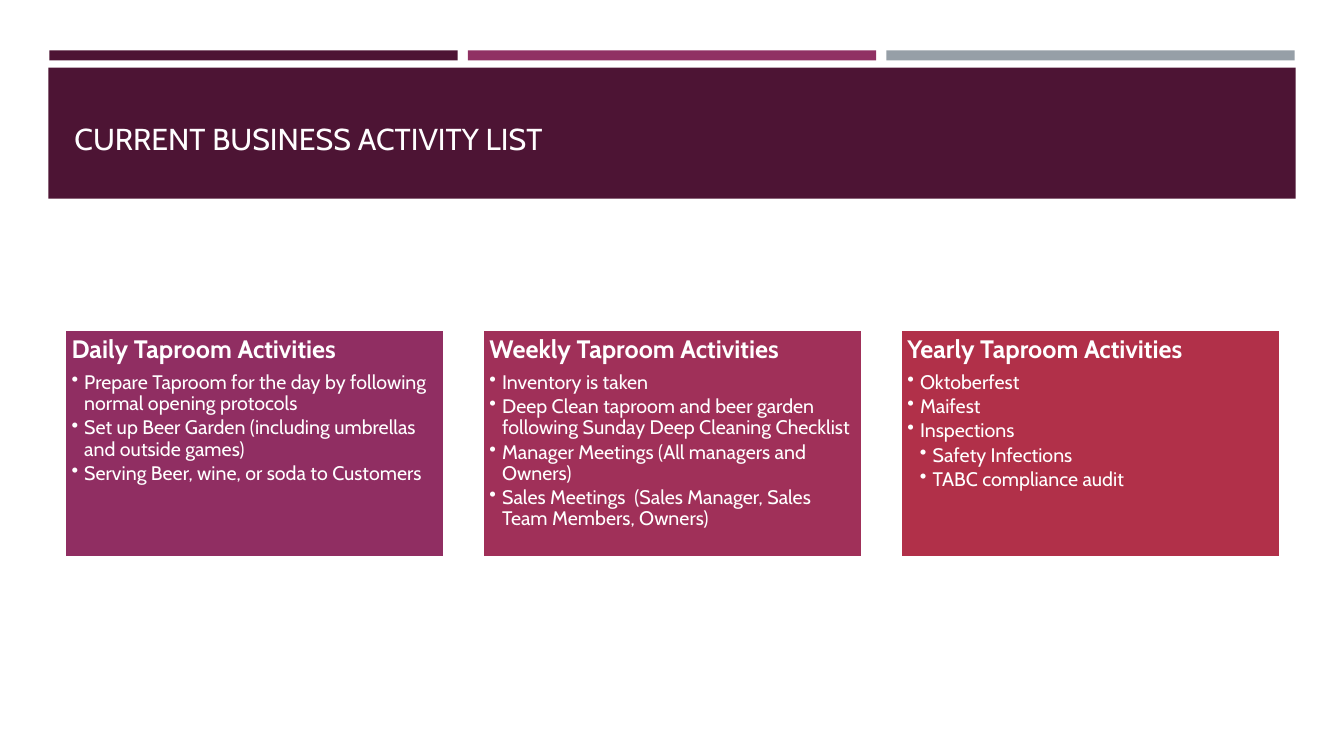
"""Build the slide of current taproom business activities."""
from lxml import etree
from pptx import Presentation
from pptx.dml.color import RGBColor
from pptx.enum.shapes import MSO_SHAPE
from pptx.enum.text import MSO_ANCHOR, PP_ALIGN
from pptx.oxml.ns import qn
from pptx.util import Inches, Pt

RECTANGLE = MSO_SHAPE.RECTANGLE
TOP = MSO_ANCHOR.TOP
LEFT = PP_ALIGN.LEFT

TITLE = "CURRENT BUSINESS ACTIVITY LIST"
CARDS = [
    ("Daily Taproom Activities", "902E62", [
        (1, "Prepare Taproom for the day by following normal opening protocols"),
        (1, "Set up Beer Garden (including umbrellas and outside games)"),
        (1, "Serving Beer, wine, or soda to Customers"),
    ]),
    ("Weekly Taproom Activities", "A03059", [
        (1, "Inventory is taken"),
        (1, "Deep Clean taproom and beer garden following Sunday Deep Cleaning Checklist"),
        (1, "Manager Meetings (All managers and Owners)"),
        (1, "Sales Meetings  (Sales Manager, Sales Team Members, Owners)"),
    ]),
    ("Yearly Taproom Activities", "B13049", [
        (1, "Oktoberfest"),
        (1, "Maifest"),
        (1, "Inspections"),
        (2, "Safety Infections"),
        (2, "TABC compliance audit"),
    ]),
]
THEME = {
    "font": "Cabin",
    "white": "FFFFFF",
    "title_text": "FFFEFF",
    "banner": "4D1434",
    "stripes": ["4D1434", "903163", "969FA7"],
    "title_size": 21.6,
    "heading_size": 18,
    "item_size": 14,
}
STRIPE_LEFT, STRIPE_STEP = 0.49, 4.15
CARD_LEFT, CARD_STEP = 0.64, 4.145
BULLET_INDENT = 0.125


def add_block(page, left, top, width, height, color, outline=None):
    block = page.shapes.add_shape(
        RECTANGLE, Inches(left), Inches(top), Inches(width), Inches(height))
    block.shadow.inherit = False
    block.fill.solid()
    block.fill.fore_color.rgb = RGBColor.from_string(color)
    if outline:
        block.line.color.rgb = RGBColor.from_string(outline)
        block.line.width = Pt(1.75)
    else:
        block.line.fill.background()
    return block


def prepare_frame(box, side, top):
    frame = box.text_frame
    frame.word_wrap = True
    frame.vertical_anchor = TOP
    frame.margin_left = frame.margin_right = Inches(side)
    frame.margin_top = frame.margin_bottom = Inches(top)
    return frame


def write_para(para, text, size, color=THEME["white"], bold=False, level=0, before=0):
    if level:
        para.level = level
        properties = para._p.get_or_add_pPr()
        properties.set("marL", str(Inches(BULLET_INDENT * level)))
        properties.set("indent", str(-Inches(BULLET_INDENT)))
        bullet_color = etree.SubElement(properties, qn("a:buClr"))
        etree.SubElement(bullet_color, qn("a:srgbClr")).set("val", color)
        etree.SubElement(properties, qn("a:buChar")).set("char", "•")
    para.alignment = LEFT
    para.line_spacing = 0.9
    para.space_before = Pt(before)
    span = para.add_run()
    span.text = text
    span.font.name = THEME["font"]
    span.font.size = Pt(size)
    span.font.bold = bold
    span.font.color.rgb = RGBColor.from_string(color)


def add_header(page):
    for index, color in enumerate(THEME["stripes"]):
        add_block(page, STRIPE_LEFT + index * STRIPE_STEP, 0.5, 4.05, 0.1, color)
    add_block(page, 0.48, 0.67, 12.37, 1.3, THEME["banner"])
    box = page.shapes.add_textbox(Inches(0.64), Inches(1.16), Inches(12.06), Inches(1.11))
    frame = prepare_frame(box, 0.1, 0.07)
    write_para(frame.paragraphs[0], TITLE, THEME["title_size"], color=THEME["title_text"])


def add_card(page, index, heading, color, items):
    card = add_block(page, CARD_LEFT + index * CARD_STEP, 3.27, 3.77, 2.26,
                     color, outline=THEME["white"])
    frame = prepare_frame(card, 0.07, 0.07)
    write_para(frame.paragraphs[0], heading, THEME["heading_size"], bold=True)
    for position, (level, text) in enumerate(items):
        write_para(frame.add_paragraph(), text, THEME["item_size"], level=level,
                   before=2.1 if position else 6.3)


def main():
    deck = Presentation()
    deck.slide_width, deck.slide_height = Inches(13.33), Inches(7.5)
    page = deck.slides.add_slide(deck.slide_layouts[6])
    add_header(page)
    for index, card in enumerate(CARDS):
        add_card(page, index, *card)
    deck.save("out.pptx")


if __name__ == "__main__":
    main()
